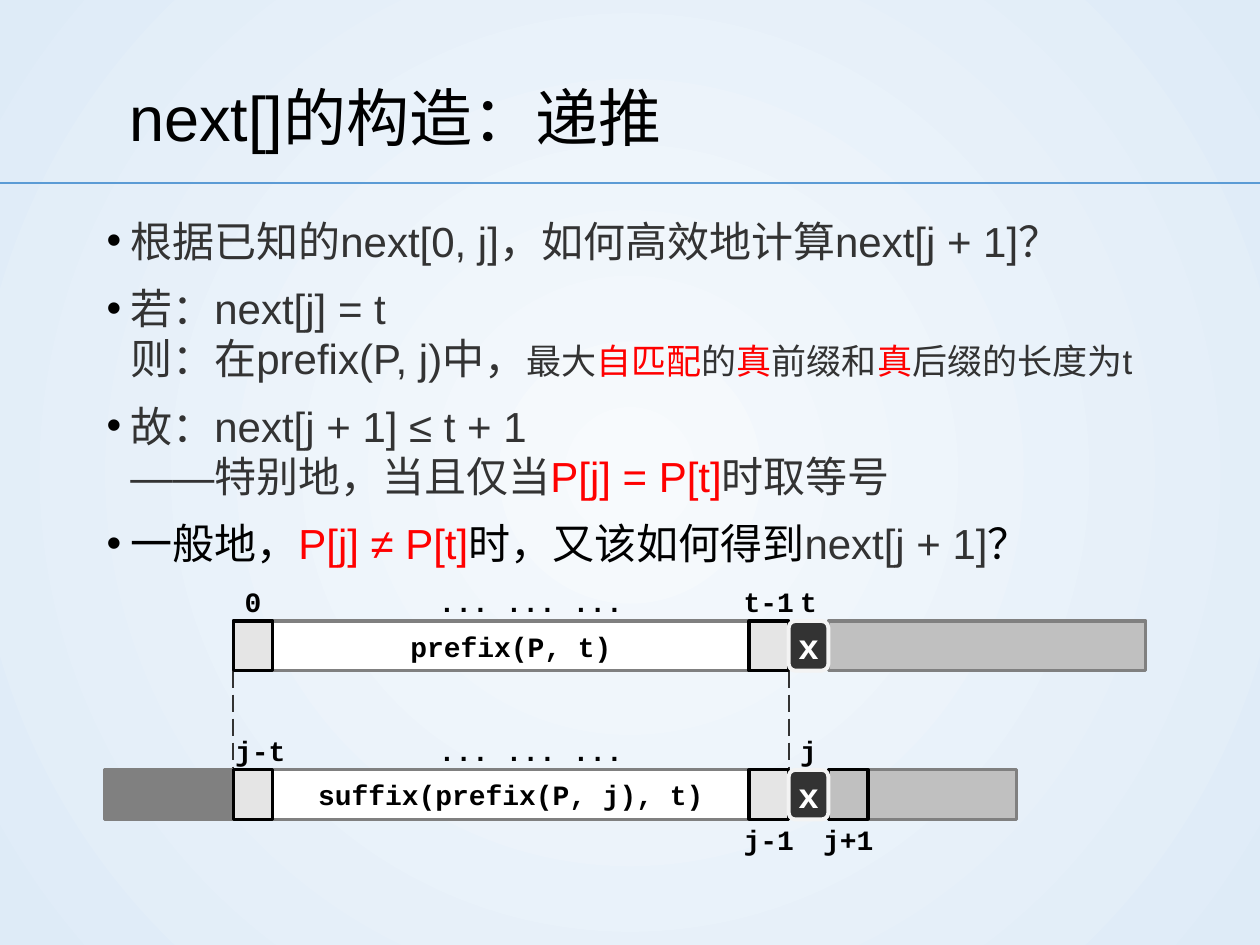
from dataclasses import dataclass

from lxml.etree import SubElement
from pptx import Presentation
from pptx.dml.color import RGBColor
from pptx.enum.dml import MSO_LINE
from pptx.enum.shapes import MSO_CONNECTOR, MSO_SHAPE
from pptx.enum.text import MSO_ANCHOR, PP_ALIGN
from pptx.oxml.ns import qn
from pptx.util import Cm, Pt


@dataclass(frozen=True)
class Theme:
    black: str = "000000"
    white: str = "FFFFFF"
    text: str = "333333"
    accent: str = "FF0000"
    rule: str = "5B9BD5"
    frame: str = "808080"
    light: str = "C0C0C0"
    halo: str = "F3F3F3"
    background: tuple = ("F7FAFD", "DEEBF7")
    body_font: str = "Arial"
    code_font: str = "Courier New"
    title_size: int = 36
    body_size: int = 24
    small_size: int = 20
    label_size: int = 16


THEME = Theme()
CELL = 0.8
ROW_HEIGHT = 1.0
LABEL_HEIGHT = 0.8
WIDE_LABEL = 1.1  # holds three characters at label size
BAR_CELLS = 14

# Each bullet is a list of lines; each line is a list of (text, colour, size).
BODY, SMALL = THEME.body_size, THEME.small_size
BULLETS = [
    [[("根据已知的next[0, j]，如何高效地计算next[j + 1]？", THEME.text, BODY)]],
    [[("若：next[j] = t", THEME.text, BODY)],
     [("则：在prefix(P, j)中，", THEME.text, BODY),
      ("最大", THEME.text, SMALL), ("自匹配", THEME.accent, SMALL),
      ("的", THEME.text, SMALL), ("真", THEME.accent, SMALL),
      ("前缀和", THEME.text, SMALL), ("真", THEME.accent, SMALL),
      ("后缀的长度为t", THEME.text, SMALL)]],
    [[("故：next[j + 1] ≤ t + 1", THEME.text, BODY)],
     [("——特别地，当且仅当", THEME.text, BODY),
      ("P[j] = P[t]", THEME.accent, BODY), ("时取等号", THEME.text, BODY)]],
    [[("一般地，", THEME.black, BODY), ("P[j] ≠ P[t]", THEME.accent, BODY),
      ("时，又该如何得到", THEME.black, BODY),
      ("next[j + 1]", THEME.text, BODY), ("？", THEME.black, BODY)]],
]


def colour(value):
    return RGBColor.from_string(value)


def add_run(paragraph, text, font_name, size, value, bold=False):
    run = paragraph.add_run()
    run.text = text
    run.font.name = font_name
    run.font.size = Pt(size)
    run.font.bold = bold
    run.font.color.rgb = colour(value)


def set_margins(frame, left, top, right, bottom):
    frame.margin_left, frame.margin_top = Cm(left), Cm(top)
    frame.margin_right, frame.margin_bottom = Cm(right), Cm(bottom)


def add_code(shape, text, size, value):
    """Write one centred line of bold code in a shape or text box."""
    frame = shape.text_frame
    frame.word_wrap = False
    frame.vertical_anchor = MSO_ANCHOR.MIDDLE
    set_margins(frame, 0, 0, 0, 0)
    paragraph = frame.paragraphs[0]
    paragraph.alignment = PP_ALIGN.CENTER
    add_run(paragraph, text, THEME.code_font, size, value, bold=True)


def add_block(slide, left, top, width, fill, line, weight=1.75,
              kind=MSO_SHAPE.RECTANGLE, opacity=None):
    shape = slide.shapes.add_shape(kind, Cm(left), Cm(top), Cm(width), Cm(ROW_HEIGHT))
    shape.shadow.inherit = False
    shape.fill.solid()
    shape.fill.fore_color.rgb = colour(fill)
    shape.line.color.rgb = colour(line)
    shape.line.width = Pt(weight)
    if opacity is not None:
        fill_colour = shape.element.spPr.find(qn("a:solidFill"))[0]
        SubElement(fill_colour, qn("a:alpha"), val=str(opacity * 1000))
    return shape


def add_line(slide, start, end, value, weight, dash=None):
    line = slide.shapes.add_connector(
        MSO_CONNECTOR.STRAIGHT, *(Cm(length) for length in start + end))
    line.line.color.rgb = colour(value)
    line.line.width = Pt(weight)
    if dash is not None:
        line.line.dash_style = dash
    SubElement(line.element.spPr, qn("a:effectLst"))


def paint_background(slide):
    fill = slide.background.fill
    fill.gradient()
    for position, (stop, value) in enumerate(zip(fill.gradient_stops, THEME.background)):
        stop.position = position
        stop.color.rgb = colour(value)
    gradient = slide.element.find(".//" + qn("a:gradFill"))
    gradient.remove(gradient.find(qn("a:lin")))
    radial = SubElement(gradient, qn("a:path"), path="circle")
    SubElement(radial, qn("a:fillToRect"), l="50000", t="50000", r="50000", b="50000")


def add_title(slide, left, top, width, height):
    box = slide.shapes.add_textbox(Cm(left), Cm(top), Cm(width), Cm(height))
    frame = box.text_frame
    frame.word_wrap = True
    frame.vertical_anchor = MSO_ANCHOR.MIDDLE
    paragraph = frame.paragraphs[0]
    paragraph.line_spacing = 1.2
    add_run(paragraph, "next[]的构造：递推", THEME.body_font, THEME.title_size, THEME.black)
    add_line(slide, (0, top + height + 0.2), (25.4, top + height + 0.2), THEME.rule, 1)


def add_bullet(paragraph):
    properties = paragraph._p.get_or_add_pPr()
    properties.set("marL", str(Cm(0.48)))
    properties.set("indent", str(Cm(-0.48)))
    bullet_colour = SubElement(properties, qn("a:buClr"))
    SubElement(bullet_colour, qn("a:srgbClr"), val=THEME.black)
    SubElement(properties, qn("a:buFont"), typeface=THEME.body_font)
    SubElement(properties, qn("a:buChar"), char="•")


def add_body(slide, left, top, width, height):
    box = slide.shapes.add_textbox(Cm(left), Cm(top), Cm(width), Cm(height))
    frame = box.text_frame
    frame.word_wrap = True
    set_margins(frame, 0.4, 0.2, 0, 0.2)
    for index, lines in enumerate(BULLETS):
        paragraph = frame.add_paragraph() if index else frame.paragraphs[0]
        add_bullet(paragraph)
        paragraph.space_before = Pt(7.2 if index else 0)
        paragraph.space_after = Pt(2.4)
        for line_index, line in enumerate(lines):
            if line_index:
                paragraph.add_line_break()
            for text, value, size in line:
                add_run(paragraph, text, THEME.body_font, size, value)


def add_string_row(slide, left, top, caption, tail_width, labels, head_width=0, next_cell=False):
    """Draw a string whose matched part starts at left; labels are (text, offset, width, below)."""
    mismatch = left + BAR_CELLS * CELL
    after = mismatch + CELL
    if head_width:
        add_block(slide, left - head_width, top, head_width, THEME.frame, THEME.frame)
    add_block(slide, after, top, tail_width, THEME.light, THEME.frame)
    bar = add_block(slide, left, top, BAR_CELLS * CELL, THEME.white, THEME.frame)
    add_code(bar, caption, THEME.label_size, THEME.black)
    outlined = [left, mismatch - CELL] + ([after] if next_cell else [])
    for cell_left in outlined:
        add_block(slide, cell_left, top, CELL, THEME.light, THEME.black, opacity=40)
    marker = add_block(slide, mismatch, top, CELL, THEME.text, THEME.halo, 2.25,
                       MSO_SHAPE.ROUNDED_RECTANGLE)
    add_code(marker, "x", THEME.small_size, THEME.white)
    for text, offset, width, below in labels:
        label_top = top + ROW_HEIGHT if below else top - LABEL_HEIGHT
        label = slide.shapes.add_textbox(
            Cm(left + offset), Cm(label_top), Cm(width), Cm(LABEL_HEIGHT))
        add_code(label, text, THEME.label_size, THEME.black)


def add_diagram(slide, left, top, row_pitch):
    last, mismatch, after = ((BAR_CELLS + step) * CELL for step in (-1, 0, 1))
    overhang = (WIDE_LABEL - CELL) / 2
    dots = ("... ... ...", 2 * CELL, last - 2 * CELL, False)
    lower = top + row_pitch
    for x in (left, left + mismatch):
        add_line(slide, (x, top + ROW_HEIGHT), (x, lower), THEME.text, 1.25, MSO_LINE.LONG_DASH)
    add_string_row(slide, left, top, "prefix(P, t)", 8 * CELL, [
        ("0", 0, CELL, False), dots,
        ("t-1", last - overhang, WIDE_LABEL, False), ("t", mismatch, CELL, False)])
    add_string_row(slide, left, lower, "suffix(prefix(P, j), t)", 3.8, [
        ("j-t", 0, WIDE_LABEL, False), dots, ("j", mismatch, CELL, False),
        ("j-1", last - overhang, WIDE_LABEL, True),
        ("j+1", after - overhang, WIDE_LABEL, True)],
        head_width=2.6, next_cell=True)


def main():
    presentation = Presentation()
    presentation.slide_width, presentation.slide_height = Cm(25.4), Cm(19.05)
    slide = presentation.slides.add_slide(presentation.slide_layouts[6])
    paint_background(slide)
    add_title(slide, 2.36, 0.89, 14.35, 2.6)
    add_body(slide, 1.75, 4.14, 21.9, 13.03)
    add_diagram(slide, 4.7, 12.52, 3)
    presentation.save("out.pptx")


if __name__ == "__main__":
    main()
